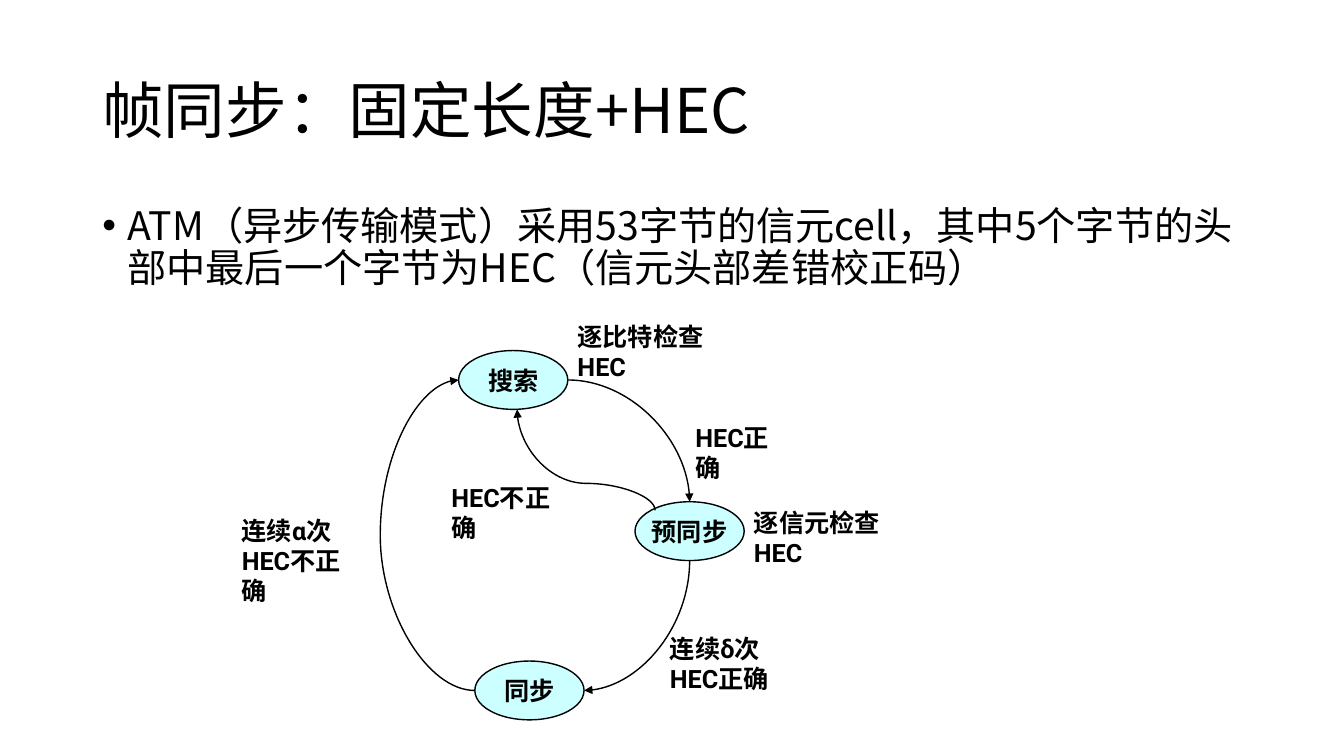
import pptx
import pptx.util
import pptx.dml.color
import pptx.enum.shapes
import pptx.enum.text
import pptx.oxml
import pptx.oxml.ns

Pt = pptx.util.Pt
RGB = pptx.dml.color.RGBColor.from_string
qn = pptx.oxml.ns.qn
ALIGN = pptx.enum.text.PP_ALIGN
ANCHOR = pptx.enum.text.MSO_ANCHOR

THEME = {
    "ink": RGB("000000"), "state_fill": RGB("CCFFFF"),
    "text_font": "Noto Sans CJK SC", "diagram_font": "Roboto",
    "title_size": 44, "body_size": 28, "label_size": 18, "line": 1,
}


def write(sp, text, size=THEME["label_size"], font=THEME["diagram_font"], bold=True,
          align=ALIGN.LEFT, anchor=ANCHOR.TOP, wrap=True, spacing=1.0, before=0):
    """Put one formatted paragraph into a shape and return the paragraph."""
    tf = sp.text_frame
    tf.word_wrap, tf.vertical_anchor = wrap, anchor
    p = tf.paragraphs[0]
    p.alignment, p.line_spacing, p.space_before = align, spacing, Pt(before)
    r = p.add_run()
    r.text = text
    r.font.name, r.font.size, r.font.bold = font, Pt(size), bold
    r.font.color.rgb = THEME["ink"]
    ea = pptx.oxml.parse_xml(f'<a:ea {pptx.oxml.ns.nsdecls("a")} typeface="{THEME["text_font"]}"/>')
    r.font._element.find(qn("a:latin")).addnext(ea)
    return p


def add_curve(s, start, end, preset, turn=0, flip=False, adjust=None):
    """Draw a curved arrow from start to end, its frame turned about the centre."""
    (x1, y1), (x2, y2) = start, end
    w, h = abs(x2 - x1), abs(y2 - y1)
    if turn == 90:
        w, h = h, w
    left, top = (x1 + x2 - w) / 2, (y1 + y2 - h) / 2
    c = s.shapes.add_connector(pptx.enum.shapes.MSO_CONNECTOR.CURVE,
                               Pt(left), Pt(top), Pt(left + w), Pt(top + h))
    c.line.color.rgb, c.line.width = THEME["ink"], Pt(THEME["line"])
    sp_pr = c._element.spPr
    xfrm = sp_pr.find(qn("a:xfrm"))
    xfrm.set("rot", str(turn * 60000))
    if flip:
        xfrm.set("flipH", "1")
    geom = sp_pr.find(qn("a:prstGeom"))
    geom.set("prst", preset)
    if adjust is not None:
        guides = geom.find(qn("a:avLst"))
        guide = guides.makeelement(qn("a:gd"), {"name": "adj1", "fmla": f"val {adjust}"})
        guides.append(guide)
    ln = sp_pr.find(qn("a:ln"))
    ln.append(ln.makeelement(qn("a:tailEnd"), {"type": "triangle"}))
    sp_pr.append(sp_pr.makeelement(qn("a:effectLst"), {}))


prs = pptx.Presentation()
prs.slide_width, prs.slide_height = Pt(960), Pt(540)
s = prs.slides.add_slide(prs.slide_layouts[6])

# Title and bullet
title = s.shapes.add_textbox(Pt(66), Pt(28.8), Pt(828), Pt(104.4))
write(title, "帧同步：固定长度+HEC", size=THEME["title_size"], font=THEME["text_font"],
      bold=False, anchor=ANCHOR.MIDDLE, spacing=0.9)

body = s.shapes.add_textbox(Pt(66), Pt(144), Pt(828), Pt(88.6))
p = write(body, "ATM（异步传输模式）采用53字节的信元cell，其中5个字节的头部中最后一个字节为HEC（信元头部差错校正码）",
          size=THEME["body_size"], font=THEME["text_font"], bold=False, spacing=0.9, before=10)
p_pr = p._p.get_or_add_pPr()
p_pr.set("marL", str(Pt(18)))
p_pr.set("indent", str(-Pt(18)))
for tag, attrs in (("a:buFont", {"typeface": "Arial"}), ("a:buChar", {"char": "•"})):
    p_pr.append(p_pr.makeelement(qn(tag), attrs))

# States
STATE_W, STATE_H = 78, 42
SEARCH, PRESYNC, SYNC = (327.6, 250.4), (453.6, 358.4), (339.2, 472.2)
for name, (x, y) in (("搜索", SEARCH), ("预同步", PRESYNC), ("同步", SYNC)):
    sp = s.shapes.add_shape(pptx.enum.shapes.MSO_SHAPE.OVAL,
                            Pt(x), Pt(y), Pt(STATE_W), Pt(STATE_H))
    sp.shadow.inherit = False
    sp.fill.solid()
    sp.fill.fore_color.rgb = THEME["state_fill"]
    sp.line.color.rgb, sp.line.width = THEME["ink"], Pt(THEME["line"])
    write(sp, name, align=ALIGN.CENTER, anchor=ANCHOR.MIDDLE, wrap=False)

# Labels: text, left, top, width, height
labels = (
    ("逐比特检查HEC", 405.4, 226, 120, 51),
    ("逐信元检查HEC", 531.4, 358.6, 120, 51),
    ("HEC正确", 489.6, 298, 78.5, 51),
    ("连续δ次HEC正确", 471.4, 448.6, 90, 51),
    ("HEC不正确", 315.4, 340.6, 96.5, 51),
    ("连续α次HEC不正确", 165.6, 364.3, 102.2, 73),
)
for text, *frame in labels:
    write(s.shapes.add_textbox(*map(Pt, frame)), text)

# Transitions
search_right = (SEARCH[0] + STATE_W, SEARCH[1] + STATE_H / 2)
search_left = (SEARCH[0], SEARCH[1] + STATE_H / 2)
search_bottom = (369.4, SEARCH[1] + STATE_H)
presync_top = (PRESYNC[0] + STATE_W / 2, PRESYNC[1])
presync_bottom = (PRESYNC[0] + STATE_W / 2, PRESYNC[1] + STATE_H)
presync_corner = (468, 364.5)
sync_right = (SYNC[0] + STATE_W, SYNC[1] + STATE_H / 2)
sync_left = (SYNC[0], SYNC[1] + STATE_H / 2)

add_curve(s, search_right, presync_top, "curvedConnector2")
add_curve(s, presync_corner, search_bottom, "curvedConnector3", turn=90, flip=True, adjust=26700)
add_curve(s, presync_bottom, sync_right, "curvedConnector2", turn=90)
add_curve(s, sync_left, search_left, "curvedConnector3", turn=180, adjust=583000)

prs.save("out.pptx")
